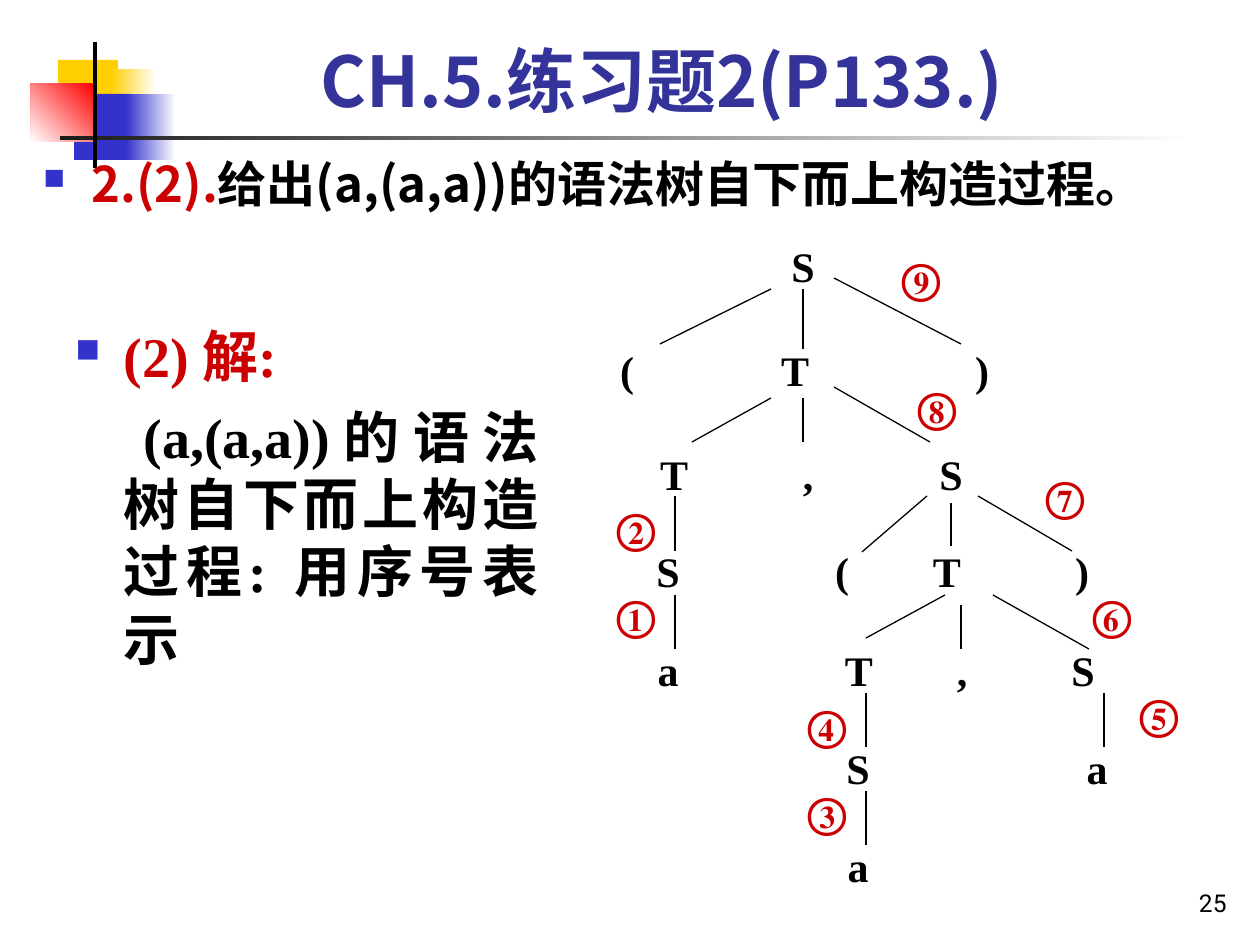
import pptx
import pptx.dml.color
import pptx.enum.shapes
import pptx.enum.text
import pptx.oxml
import pptx.util
from lxml import etree

RGB = pptx.dml.color.RGBColor
ALIGN = pptx.enum.text.PP_ALIGN
ANCHOR = pptx.enum.text.MSO_ANCHOR

WHITE = RGB(255, 255, 255)
BLACK = RGB(0, 0, 0)
CHARCOAL = RGB(0x1C, 0x1C, 0x1C)
YELLOW = RGB(0xFF, 0xCF, 0x01)
BLUE = RGB(0x33, 0x33, 0xCC)
RED = RGB(255, 0, 0)
DARK_RED = RGB(0xCC, 0, 0)
TITLE_BLUE = RGB(0x33, 0x33, 0x99)

SANS = "Noto Sans CJK SC"
SERIF = "Times New Roman"
EMU_PER_PX = 914400 / 126
HANGING = 48

BLOCKS = [
    ((58, 60, 60, 66), [YELLOW], 0),
    ((111, 69, 45, 66), [WHITE, YELLOW], 180),
    ((74, 94, 58, 66), [BLUE], 0),
    ((126, 94, 50, 66), [WHITE, BLUE], 180),
    ((31, 84, 63, 58), [RED, WHITE], 225),
    ((60, 136, 1134, 4), [WHITE, CHARCOAL], 180),
]
TREE_ROWS = [
    (234, [("S", 803)]),
    (338, [("(", 627), ("T", 795), (")", 982)]),
    (442, [("T", 674), (",", 808), ("S", 951)]),
    (539, [("S", 668), ("(", 842), ("T", 947), (")", 1082)]),
    (638, [("a", 668), ("T", 859), (",", 962), ("S", 1083)]),
    (736, [("S", 858), ("a", 1097)]),
    (834, [("a", 858)]),
]
BRANCHES = [
    (803, 289, 803, 349), (771, 289, 660, 344), (834, 278, 961, 344),
    (771, 398, 692, 442), (803, 398, 803, 442), (834, 387, 930, 442),
    (927, 496, 862, 552), (951, 503, 951, 546), (978, 496, 1072, 551),
    (945, 595, 866, 638), (961, 605, 961, 649), (993, 595, 1089, 649),
    (675, 496, 675, 551), (675, 595, 675, 649),
    (866, 693, 866, 747), (866, 791, 866, 845), (1104, 693, 1104, 747),
]
STEPS = [
    ("①", 636, 583), ("②", 636, 496), ("③", 827, 780),
    ("④", 827, 693), ("⑤", 1159, 682), ("⑥", 1112, 583),
    ("⑦", 1065, 464), ("⑧", 937, 375), ("⑨", 921, 246),
]


def px(n):
    return pptx.util.Emu(round(n * EMU_PER_PX))


def add_block(s, box, colors, angle):
    sp = s.shapes.add_shape(pptx.enum.shapes.MSO_SHAPE.RECTANGLE, *map(px, box))
    sp.shadow.inherit = False
    sp.line.fill.background()
    if len(colors) == 1:
        sp.fill.solid()
        sp.fill.fore_color.rgb = colors[0]
        return
    sp.fill.gradient()
    sp.fill.gradient_angle = angle
    for stop, color in zip(sp.fill.gradient_stops, colors):
        stop.color.rgb = color


def add_line(s, ends, width=0.75):
    kind = pptx.enum.shapes.MSO_CONNECTOR.STRAIGHT
    cn = s.shapes.add_connector(kind, *map(px, ends))
    cn.line.color.rgb = BLACK
    cn.line.width = pptx.util.Pt(width)
    etree.SubElement(cn._element.spPr, pptx.oxml.ns.qn("a:effectLst"))


def add_frame(s, box, anchor=ANCHOR.TOP):
    tf = s.shapes.add_textbox(*map(px, box)).text_frame
    tf.word_wrap = True
    tf.vertical_anchor = anchor
    return tf


def add_run(p, text, size=24, color=BLACK, font=SERIF, ea=None, bold=True):
    r = p.add_run()
    r.text = text
    r.font.size = pptx.util.Pt(size)
    r.font.bold = bold
    r.font.name = font
    r.font.color.rgb = color
    east = etree.SubElement(r._r.get_or_add_rPr(), pptx.oxml.ns.qn("a:ea"))
    east.set("typeface", ea or font)


def add_label(s, box, text, align=ALIGN.CENTER, anchor=ANCHOR.TOP, **fmt):
    p = add_frame(s, box, anchor).paragraphs[0]
    p.alignment = align
    add_run(p, text, **fmt)


def format_body(p, before, indent):
    p.alignment = ALIGN.JUSTIFY
    p.space_before = pptx.util.Pt(before)
    pPr = p._p.get_or_add_pPr()
    pPr.set("marL", str(px(HANGING)))
    pPr.set("indent", str(px(indent)))


def add_bullet(p):
    pPr = p._p.get_or_add_pPr()
    qn = pptx.oxml.ns.qn
    clr = etree.SubElement(pPr, qn("a:buClr"))
    etree.SubElement(clr, qn("a:srgbClr")).set("val", str(BLUE))
    etree.SubElement(pPr, qn("a:buSzPct")).set("val", "60000")
    etree.SubElement(pPr, qn("a:buFont")).set("typeface", "Wingdings")
    etree.SubElement(pPr, qn("a:buChar")).set("char", "n")


def add_question(s):
    p = add_frame(s, (31, 147, 1197, 73)).paragraphs[0]
    format_body(p, 7, -HANGING)
    add_bullet(p)
    add_run(p, "2.(2).", size=28, color=DARK_RED, font=SANS)
    add_run(p, "给出(a,(a,a))的语法树自下而上构造过程。", size=28, font=SANS)


def add_answer(s):
    tf = add_frame(s, (63, 315, 488, 420))
    p = tf.paragraphs[0]
    format_body(p, 8, -HANGING)
    add_bullet(p)
    add_run(p, "(2) 解:", size=32, color=DARK_RED, ea=SANS)
    p = tf.add_paragraph()
    format_body(p, 8, 20)
    add_run(p, "(a,(a,a))的语法树自下而上构造过程: 用序号表示", size=32, ea=SANS)


def add_tree(s):
    for top, nodes in TREE_ROWS:
        for text, center in nodes:
            add_label(s, (center - 40, top, 80, 63), text)
    for ends in BRANCHES:
        add_line(s, ends)
    for text, center, top in STEPS:
        add_label(s, (center - 55, top, 110, 63), text, color=DARK_RED)


def main():
    """Build the syntax tree exercise slide."""
    prs = pptx.Presentation()
    prs.slide_width, prs.slide_height = px(1260), px(945)
    s = prs.slides.add_slide(prs.slide_layouts[6])
    for box, colors, angle in BLOCKS:
        add_block(s, box, colors, angle)
    add_label(s, (977, 861, 262, 63), "25", align=ALIGN.RIGHT,
              anchor=ANCHOR.BOTTOM, size=14, font="Roboto", bold=False)
    add_line(s, (95, 42, 95, 168), width=2)
    add_label(s, (116, 32, 1092, 95), "CH.5.练习题2(P133.)",
              anchor=ANCHOR.MIDDLE, size=40, color=TITLE_BLUE, font=SANS)
    add_question(s)
    add_answer(s)
    add_tree(s)
    prs.save("out.pptx")


if __name__ == "__main__":
    main()
